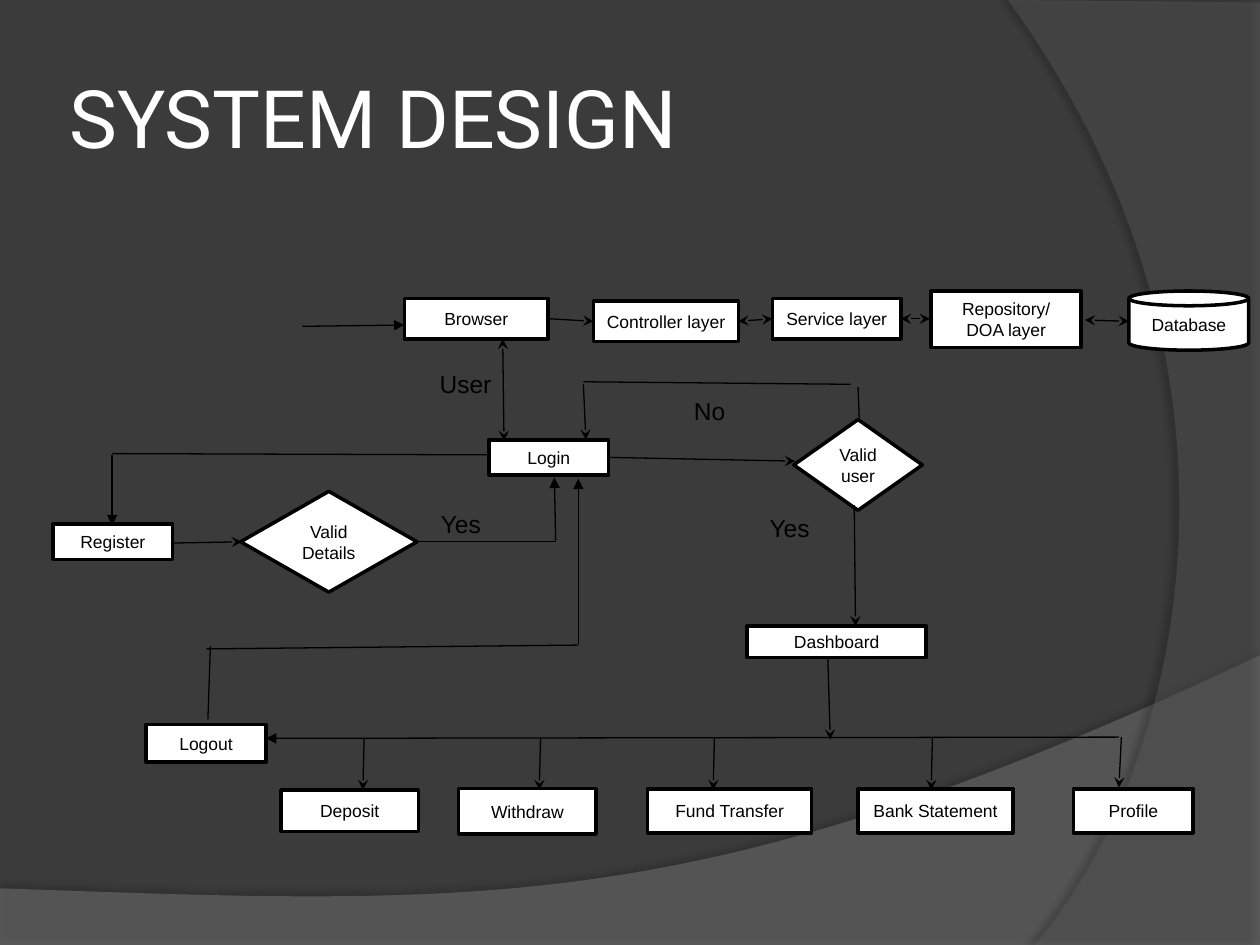
from lxml.etree import SubElement
from pptx import Presentation
from pptx.dml.color import RGBColor
from pptx.enum.shapes import MSO_CONNECTOR, MSO_SHAPE
from pptx.enum.text import MSO_ANCHOR, MSO_AUTO_SIZE, PP_ALIGN
from pptx.oxml.ns import qn
from pptx.util import Inches, Pt


def paint(fill, color):
    fill.solid()
    fill.fore_color.rgb = RGBColor.from_string(color)


def write(frame, text, size, align=PP_ALIGN.LEFT, font="Arial", color="000000"):
    frame.word_wrap = True
    para = frame.paragraphs[0]
    para.alignment = align
    span = para.add_run()
    span.text = text
    span.font.size = Pt(size)
    span.font.name = font
    paint(span.font.fill, color)


deck = Presentation()
deck.slide_width, deck.slide_height = Inches(10), Inches(7.5)
page = deck.slides.add_slide(deck.slide_layouts[5])
paint(page.background.fill, "3B3B3B")

# Background waves: corner points, then a Bezier curve from the last corner
# (color, opacity, shadow opacity, shadow distance, shadow angle)
waves = [
    ([(0, 7.05), (0, 7.51), (10, 7.51), (10, 5.2)],
     [(5.59, 7.29), (3.91, 7.19), (0, 7.05)], "7F7F7F", 45, 35, 3.5, 270),
    ([(10, 0.02), (10, 7.5), (8.21, 7.5)],
     [(9.35, 6.19), (10.18, 3), (8, 0)], "5E5E5E", 40, 45, 4, 180),
]
STEPS = 60
for corners, curve, color, opacity, shade, distance, angle in waves:
    controls = [corners[-1]] + curve
    points = list(corners)
    for step in range(1, STEPS + 1):
        t = step / STEPS
        weights = [(1 - t) ** 3, 3 * t * (1 - t) ** 2, 3 * t ** 2 * (1 - t), t ** 3]
        points.append(tuple(sum(w * c[axis] for w, c in zip(weights, controls))
                            for axis in (0, 1)))
    outline = [(Inches(x), Inches(y)) for x, y in points]
    builder = page.shapes.build_freeform(*outline[0])
    builder.add_line_segments(outline[1:], close=True)
    wave = builder.convert_to_shape()
    paint(wave.fill, color)
    wave.line.fill.background()
    wave.shadow.inherit = False
    properties = wave.element.spPr
    tint = properties.find(qn("a:solidFill")).find(qn("a:srgbClr"))
    SubElement(tint, qn("a:alpha"), val=str(opacity * 1000))
    shadow = SubElement(properties.find(qn("a:effectLst")), qn("a:outerShdw"),
                        blurRad=str(Pt(4)), dist=str(Pt(distance)),
                        dir=str(angle * 60000), rotWithShape="0")
    shadow_color = SubElement(shadow, qn("a:srgbClr"), val="000000")
    SubElement(shadow_color, qn("a:alpha"), val=str(shade * 1000))

# Title
title = page.shapes.title
title.left, title.top = Inches(0.5), Inches(0.3)
title.width, title.height = Inches(8.17), Inches(1.25)
frame = title.text_frame
frame.margin_left = frame.margin_right = Inches(0.05)
frame.margin_top = frame.margin_bottom = Inches(0.05)
frame.vertical_anchor = MSO_ANCHOR.MIDDLE
write(frame, "SYSTEM DESIGN", 46, font="Roboto", color="FFFFFF")

# Flowchart nodes: text, kind, left, top, width, height
RECT, DIAMOND, CAN = MSO_SHAPE.RECTANGLE, MSO_SHAPE.DIAMOND, MSO_SHAPE.CAN
nodes = [
    ("Browser", RECT, 3.21, 2.37, 1.14, 0.32),
    ("Controller layer", RECT, 4.71, 2.39, 1.15, 0.32),
    ("Service layer", RECT, 6.13, 2.37, 1.02, 0.32),
    ("Repository/ DOA layer", RECT, 7.39, 2.31, 1.19, 0.45),
    ("Database", CAN, 8.96, 2.31, 0.95, 0.47),
    ("Login", RECT, 3.88, 3.49, 0.95, 0.28),
    ("Valid user", DIAMOND, 6.3, 3.33, 1.02, 0.72),
    ("Register", RECT, 0.42, 4.16, 0.95, 0.28),
    ("Valid Details", DIAMOND, 1.91, 3.9, 1.4, 0.8),
    ("Dashboard", RECT, 5.93, 4.97, 1.42, 0.25),
    ("Logout", RECT, 1.16, 5.75, 0.95, 0.3),
    ("Deposit", RECT, 2.23, 6.27, 1.09, 0.33),
    ("Withdraw", RECT, 3.64, 6.26, 1.09, 0.36),
    ("Fund Transfer", RECT, 5.14, 6.26, 1.3, 0.35),
    ("Bank Statement", RECT, 6.81, 6.26, 1.23, 0.35),
    ("Profile", RECT, 8.52, 6.26, 0.95, 0.35),
]
for text, kind, *place in nodes:
    node = page.shapes.add_shape(kind, *map(Inches, place))
    node.shadow.inherit = False
    paint(node.fill, "FFFFFF")
    paint(node.line.fill, "000000")
    node.line.width = Pt(2)
    node.text_frame.vertical_anchor = MSO_ANCHOR.MIDDLE
    write(node.text_frame, text, 10, PP_ALIGN.CENTER)

# Connectors: start x, start y, end x, end y, arrow at start, arrow at end
links = [
    # Entry and layers
    (2.4, 2.59, 3.21, 2.58, None, "triangle"),
    (4.36, 2.53, 4.71, 2.55, None, "stealth"),
    (5.86, 2.55, 6.13, 2.53, "stealth", "stealth"),
    (7.15, 2.53, 7.38, 2.53, "stealth", "stealth"),
    (8.61, 2.54, 8.96, 2.55, "stealth", "stealth"),
    # Login and user check
    (4, 3.5, 3.99, 2.69, "stealth", "stealth"),
    (4.83, 3.63, 6.31, 3.66, None, "stealth"),
    (6.81, 3.07, 6.82, 3.33, None, None),
    (4.63, 3.03, 6.75, 3.05, None, None),
    (4.63, 3.05, 4.65, 3.49, None, "stealth"),
    (6.78, 4.01, 6.79, 4.97, None, "stealth"),
    # Registration
    (0.89, 3.6, 3.88, 3.61, None, None),
    (0.89, 3.61, 0.89, 4.17, None, "triangle"),
    (1.37, 4.31, 1.92, 4.3, None, "stealth"),
    (3.32, 4.3, 4.41, 4.3, None, None),
    (4.41, 4.29, 4.4, 3.79, None, "triangle"),
    # Dashboard and logout
    (6.57, 5.22, 6.59, 5.87, None, "stealth"),
    (8.88, 5.85, 2.11, 5.86, None, "triangle"),
    (1.65, 5.71, 1.67, 5.13, None, None),
    (1.64, 5.15, 4.59, 5.12, None, None),
    (4.59, 5.11, 4.59, 3.8, None, "triangle"),
    (8.9, 5.85, 8.88, 6.25, None, "stealth"),
]
# Drops from the dashboard bar to the other actions
links += [(x, 5.86, x - 0.01, 6.27, None, "stealth") for x in (2.89, 4.29, 5.67, 7.4)]
for *ends, head, tail in links:
    link = page.shapes.add_connector(MSO_CONNECTOR.STRAIGHT, *map(Inches, ends))
    paint(link.line.fill, "000000")
    link.line.width = Pt(0.75)
    properties = link.element.spPr
    stroke = properties.find(qn("a:ln"))
    for tag, arrow in (("a:headEnd", head), ("a:tailEnd", tail)):
        if arrow:
            SubElement(stroke, qn(tag), type=arrow)
    SubElement(properties, qn("a:effectLst"))

# Branch labels: text, left, top, width
labels = [("User", 3.39, 2.88, 0.79), ("No", 5.41, 3.09, 0.76),
          ("Yes", 3.4, 3.99, 0.79), ("Yes", 6.01, 4.02, 1.08)]
for text, left, top, width in labels:
    box = page.shapes.add_textbox(Inches(left), Inches(top), Inches(width), Inches(0.34))
    write(box.text_frame, text, 14)
    box.text_frame.auto_size = MSO_AUTO_SIZE.SHAPE_TO_FIT_TEXT

deck.save("out.pptx")
